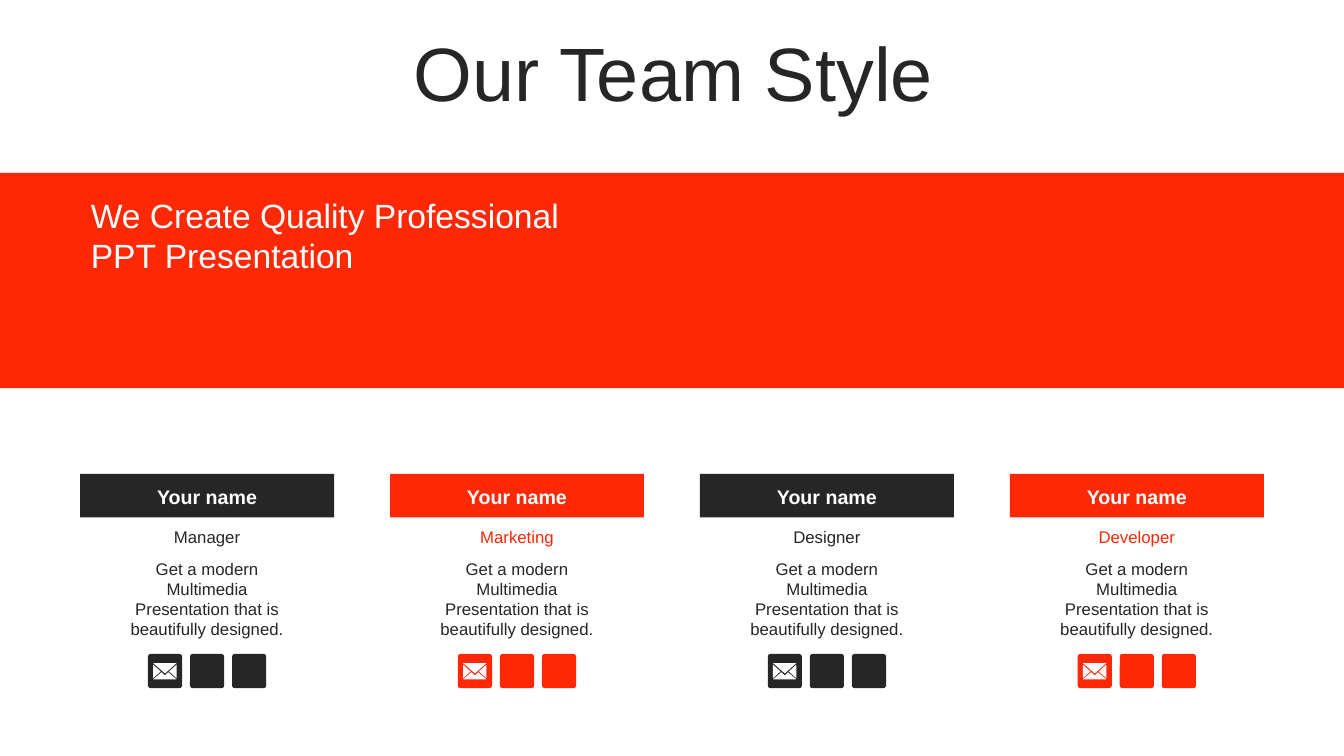
from pptx import Presentation
from pptx.dml.color import RGBColor
from pptx.enum.shapes import MSO_SHAPE
from pptx.enum.text import MSO_ANCHOR, MSO_AUTO_SIZE, PP_ALIGN
from pptx.util import Cm, Pt

RECTANGLE, ROUNDED = MSO_SHAPE.RECTANGLE, MSO_SHAPE.ROUNDED_RECTANGLE
LEFT, CENTER = PP_ALIGN.LEFT, PP_ALIGN.CENTER
TOP, MIDDLE = MSO_ANCHOR.TOP, MSO_ANCHOR.MIDDLE
NO_AUTOFIT = MSO_AUTO_SIZE.NONE

COLORS = {"dark": "262626", "red": "FD2906", "white": "FFFFFF"}
FONT = "Arial"

TITLE = "Our Team Style"
SLOGAN = ["We Create Quality Professional", "PPT Presentation"]
MEMBER_NAME = "Your name"
ABOUT = "Get a modern Multimedia Presentation that is beautifully designed."
MEMBERS = [("Manager", "dark"), ("Marketing", "red"),
           ("Designer", "dark"), ("Developer", "red")]

# All lengths below are centimetres
SLIDE_W, SLIDE_H = 33.87, 19.05
CARD_LEFT, CARD_PITCH, CARD_W = 2.02, 7.81, 6.4
BAR_TOP, BAR_H = 11.94, 1.1
TEXT_W = 5
ICON_COUNT, ICON_SIZE, ICON_PITCH, ICON_TOP = 3, 0.86, 1.06, 16.48
# Envelope pieces, measured from the icon's corner
ENVELOPE = [
    [(0.13, 0.23), (0.43, 0.49), (0.72, 0.23)],
    [(0.13, 0.27), (0.13, 0.61), (0.32, 0.44)],
    [(0.72, 0.27), (0.72, 0.61), (0.53, 0.44)],
    [(0.13, 0.64), (0.34, 0.46), (0.43, 0.54), (0.51, 0.46), (0.72, 0.64)],
]


def rgb(color):
    return RGBColor.from_string(COLORS[color])


def paint(shape, color):
    shape.fill.solid()
    shape.fill.fore_color.rgb = rgb(color)
    shape.line.fill.background()
    shape.shadow.inherit = False


def add_block(slide, kind, left, top, width, height, color):
    block = slide.shapes.add_shape(kind, Cm(left), Cm(top), Cm(width), Cm(height))
    paint(block, color)
    return block


def write(shape, lines, size=12, color="dark", bold=False, align=CENTER,
          anchor=MIDDLE, spacing=None, insets=(0.25, 0.13)):
    frame = shape.text_frame
    frame.word_wrap = True
    frame.auto_size = NO_AUTOFIT
    frame.vertical_anchor = anchor
    frame.margin_left = frame.margin_right = Cm(insets[0])
    frame.margin_top = frame.margin_bottom = Cm(insets[1])
    frame.text = "\n".join(lines)
    for paragraph in frame.paragraphs:
        paragraph.alignment = align
        paragraph.line_spacing = spacing
        paragraph.font.name = FONT
        paragraph.font.size = Pt(size)
        paragraph.font.bold = bold
        paragraph.font.color.rgb = rgb(color)


def add_text(slide, left, top, width, height, lines, **style):
    box = slide.shapes.add_textbox(Cm(left), Cm(top), Cm(width), Cm(height))
    write(box, lines, **style)


def add_envelope(slide, left, top):
    pieces = [[(Cm(left + x), Cm(top + y)) for x, y in piece] for piece in ENVELOPE]
    builder = slide.shapes.build_freeform(*pieces[0][0])
    for piece in pieces:
        builder.move_to(*piece[0])
        builder.add_line_segments(piece[1:], close=True)
    paint(builder.convert_to_shape(), "white")


def add_member(slide, left, role, color):
    add_block(slide, RECTANGLE, left, BAR_TOP, CARD_W, BAR_H, color)
    text_left = left + (CARD_W - TEXT_W) / 2
    add_text(slide, text_left, 12.19, TEXT_W, 0.64, [MEMBER_NAME],
             size=14, color="white", bold=True)
    add_text(slide, text_left, 13.21, TEXT_W, 0.64, [role], color=color)
    add_text(slide, text_left, 13.94, TEXT_W, 2.31, [ABOUT], anchor=TOP)

    icons_w = ICON_SIZE + (ICON_COUNT - 1) * ICON_PITCH
    icons_left = left + (CARD_W - icons_w) / 2
    for index in range(ICON_COUNT):
        icon = add_block(slide, ROUNDED, icons_left + index * ICON_PITCH, ICON_TOP,
                         ICON_SIZE, ICON_SIZE, color)
        icon.adjustments[0] = 0.08
    add_envelope(slide, icons_left, ICON_TOP)


def main():
    deck = Presentation()
    deck.slide_width, deck.slide_height = Cm(SLIDE_W), Cm(SLIDE_H)
    slide = deck.slides.add_slide(deck.slide_layouts[5])

    title = slide.shapes.title
    title.left, title.top, title.width, title.height = (
        Cm(0.89), Cm(0.94), Cm(32.16), Cm(2.01))
    write(title, [TITLE], size=54, spacing=0.9)

    add_block(slide, RECTANGLE, 0, 4.36, SLIDE_W, 5.42, "red")
    add_text(slide, 2.19, 4.9, 14.73, 2.06, SLOGAN, size=24, color="white",
             align=LEFT, insets=(0.1, 0))

    for index, (role, color) in enumerate(MEMBERS):
        add_member(slide, CARD_LEFT + index * CARD_PITCH, role, color)

    deck.save("out.pptx")


if __name__ == "__main__":
    main()
